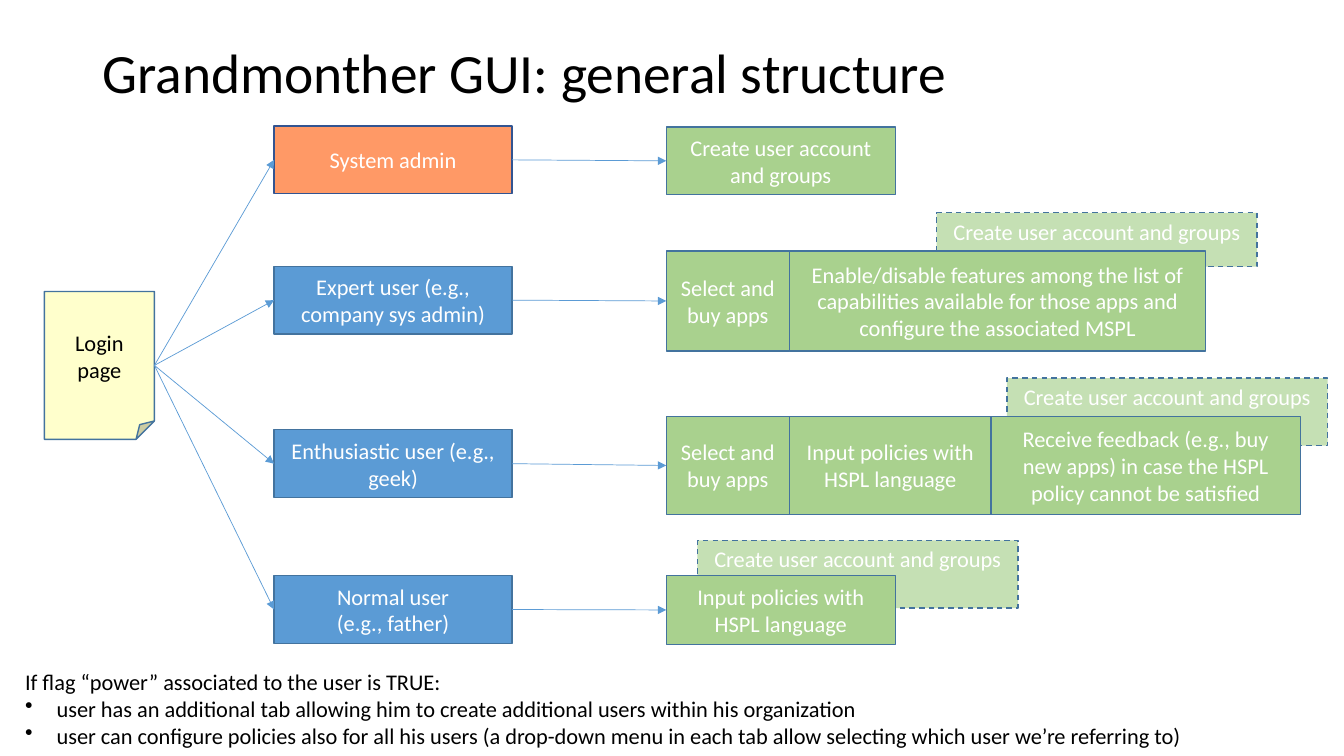
from lxml import etree
from pptx import Presentation
from pptx.dml.color import RGBColor
from pptx.enum.dml import MSO_LINE
from pptx.enum.shapes import MSO_CONNECTOR, MSO_SHAPE
from pptx.enum.text import MSO_ANCHOR, MSO_AUTO_SIZE, PP_ALIGN
from pptx.oxml.ns import qn
from pptx.util import Pt

RECTANGLE, NOTE = MSO_SHAPE.RECTANGLE, MSO_SHAPE.FOLDED_CORNER
STRAIGHT, DASH = MSO_CONNECTOR.STRAIGHT, MSO_LINE.DASH
TOP, MIDDLE = MSO_ANCHOR.TOP, MSO_ANCHOR.MIDDLE
LEFT, CENTER = PP_ALIGN.LEFT, PP_ALIGN.CENTER
FIT_SHAPE, NO_FIT = MSO_AUTO_SIZE.SHAPE_TO_FIT_TEXT, MSO_AUTO_SIZE.NONE
LEFT_SITE, RIGHT_SITE = 1, 3

BLACK, WHITE = "000000", "FFFFFF"
BLUE, ORANGE, YELLOW = "5B9BD5", "FF9966", "FFFFCC"
GREEN, PALE_GREEN = "A9D18E", "C5E0B4"
OUTLINE, ADMIN_OUTLINE = "43739E", "325491"

USER_LEFT, USER_WIDTH, USER_HEIGHT = 195.8, 170, 48.4
ACTION_LEFT = 475.9
POWER_TAB = "Create user account and groups"

presentation = Presentation()
presentation.slide_width, presentation.slide_height = Pt(960), Pt(540)
slide = presentation.slides.add_slide(presentation.slide_layouts[5])


def set_text(shape, text, size, color, alignment):
    """Write the lines of text into a shape, all in one style."""
    shape.text_frame.text = text
    for paragraph in shape.text_frame.paragraphs:
        paragraph.alignment = alignment
        paragraph.font.name = "Calibri"
        paragraph.font.size = Pt(size)
        paragraph.font.color.rgb = RGBColor.from_string(color)


def add_box(text, left, top, width, height, fill, outline=OUTLINE,
            kind=RECTANGLE, color=WHITE):
    """Add a filled, outlined shape with centred text."""
    box = slide.shapes.add_shape(kind, Pt(left), Pt(top), Pt(width), Pt(height))
    box.shadow.inherit = False
    box.fill.solid()
    box.fill.fore_color.rgb = RGBColor.from_string(fill)
    box.line.color.rgb = RGBColor.from_string(outline)
    box.line.width = Pt(1)
    box.text_frame.word_wrap = True
    box.text_frame.vertical_anchor = MIDDLE
    set_text(box, text, 16, color, CENTER)
    return box


# Title
title = slide.shapes.title
title.left, title.top, title.width, title.height = Pt(66), Pt(28.8), Pt(828), Pt(51)
title.text_frame.vertical_anchor = MIDDLE
title.text_frame.auto_size = NO_FIT
set_text(title, "Grandmonther GUI: general structure", 39.6, BLACK, LEFT)
title.text_frame.paragraphs[0].line_spacing = 0.9

# Extra tabs behind the actions
for left, top, height in [(498.2, 386, 48.4), (719.3, 270, 48.4), (669, 152, 38.4)]:
    power_tab = add_box(POWER_TAB, left, top, 229, height, PALE_GREEN)
    power_tab.line.dash_style = DASH
    power_tab.text_frame.vertical_anchor = TOP

login = add_box("Login page", 31.7, 208.2, 78.6, 105.6, YELLOW, kind=NOTE, color=BLACK)

# One row per user: name, top, fill, outline, top and height of actions, actions
rows = [
    ("System admin", 90, ORANGE, ADMIN_OUTLINE, 90.7, 48.4,
     [(POWER_TAB, 163.6)]),
    ("Expert user (e.g., company sys admin)", 190.2, BLUE, OUTLINE, 179.3, 71.4,
     [("Select and buy apps", 88),
      ("Enable/disable features among the list of capabilities available for "
       "those apps and configure the associated MSPL", 297.4)]),
    ("Enthusiastic user (e.g., geek)", 307, BLUE, OUTLINE, 297.6, 69.8,
     [("Select and buy apps", 88),
      ("Input policies with HSPL language", 144),
      ("Receive feedback (e.g., buy new apps) in case the HSPL policy cannot "
       "be satisfied", 221)]),
    ("Normal user\n(e.g., father)", 411.2, BLUE, OUTLINE, 411.2, 49,
     [("Input policies with HSPL language", 163.6)]),
]
for name, top, fill, outline, action_top, action_height, actions in rows:
    user = add_box(name, USER_LEFT, top, USER_WIDTH, USER_HEIGHT, fill, outline)
    action_boxes = []
    left = ACTION_LEFT
    for action, width in actions:
        action_boxes.append(
            add_box(action, left, action_top, width, action_height, GREEN))
        left += width
    for source, target in [(login, user), (user, action_boxes[0])]:
        arrow = slide.shapes.add_connector(STRAIGHT, 0, 0, 0, 0)
        arrow.begin_connect(source, RIGHT_SITE)
        arrow.end_connect(target, LEFT_SITE)
        arrow.line.color.rgb = RGBColor.from_string(BLUE)
        arrow.line.width = Pt(0.5)
        etree.SubElement(arrow.line._get_or_add_ln(), qn("a:tailEnd"), type="triangle")
        etree.SubElement(arrow._element.spPr, qn("a:effectLst"))

# Remarks on the "power" flag
remarks = slide.shapes.add_textbox(Pt(10.8), Pt(473.8), Pt(851), Pt(65.4))
remarks.text_frame.word_wrap = False
remarks.text_frame.auto_size = FIT_SHAPE
set_text(remarks, "\n".join([
    "If flag “power” associated to the user is TRUE:",
    "user has an additional tab allowing him to create additional users within "
    "his organization",
    "user can configure policies also for all his users (a drop-down menu in each "
    "tab allow selecting which user we’re referring to)",
]), 16, BLACK, LEFT)
for paragraph in remarks.text_frame.paragraphs[1:]:
    properties = paragraph._p.get_or_add_pPr()
    properties.set("marL", str(Pt(22.5)))
    properties.set("indent", str(-Pt(22.5)))
    bullet = etree.Element(qn("a:buChar"), char="•")
    properties.insert_element_before(bullet, "a:tabLst", "a:defRPr", "a:extLst")

presentation.save("out.pptx")
